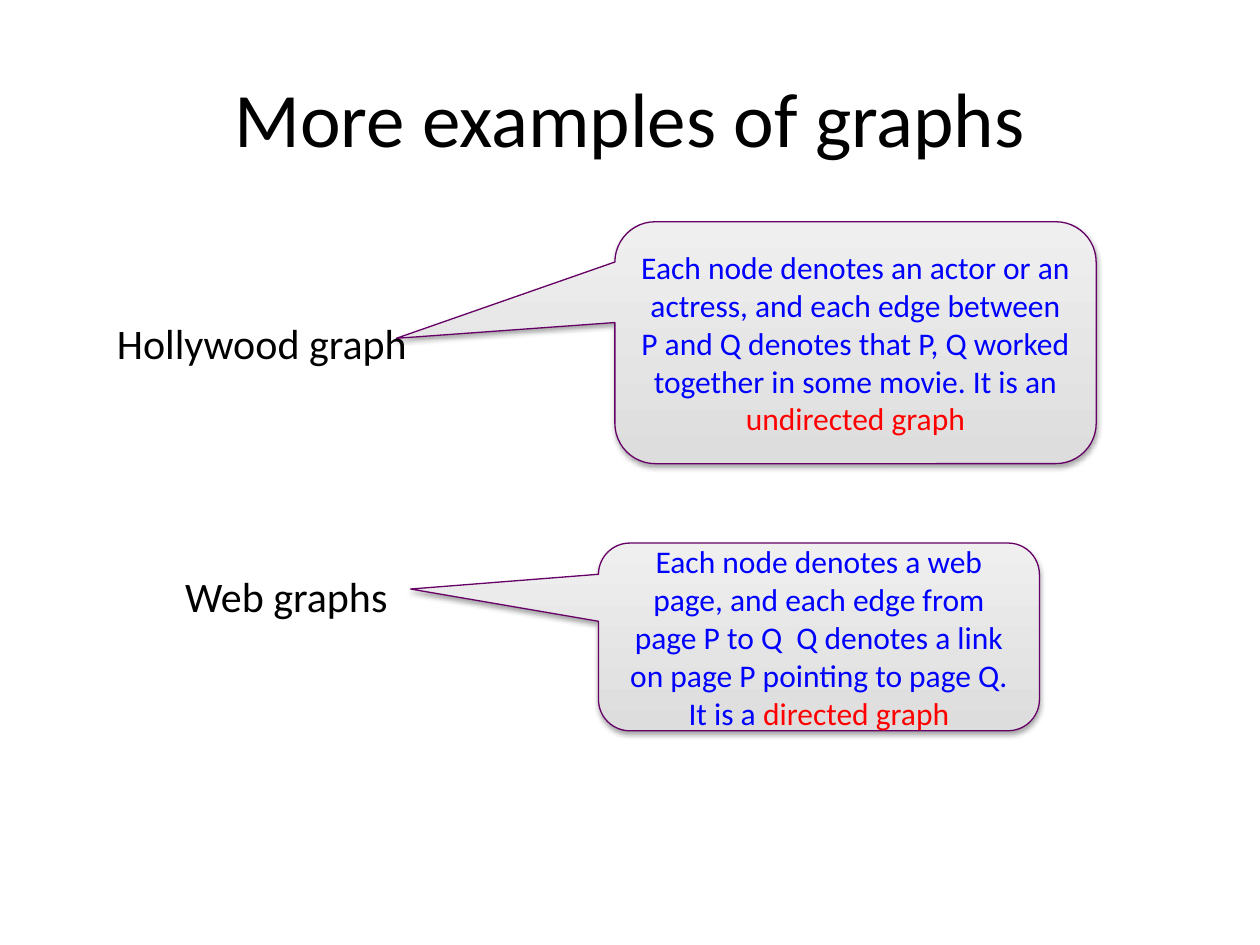
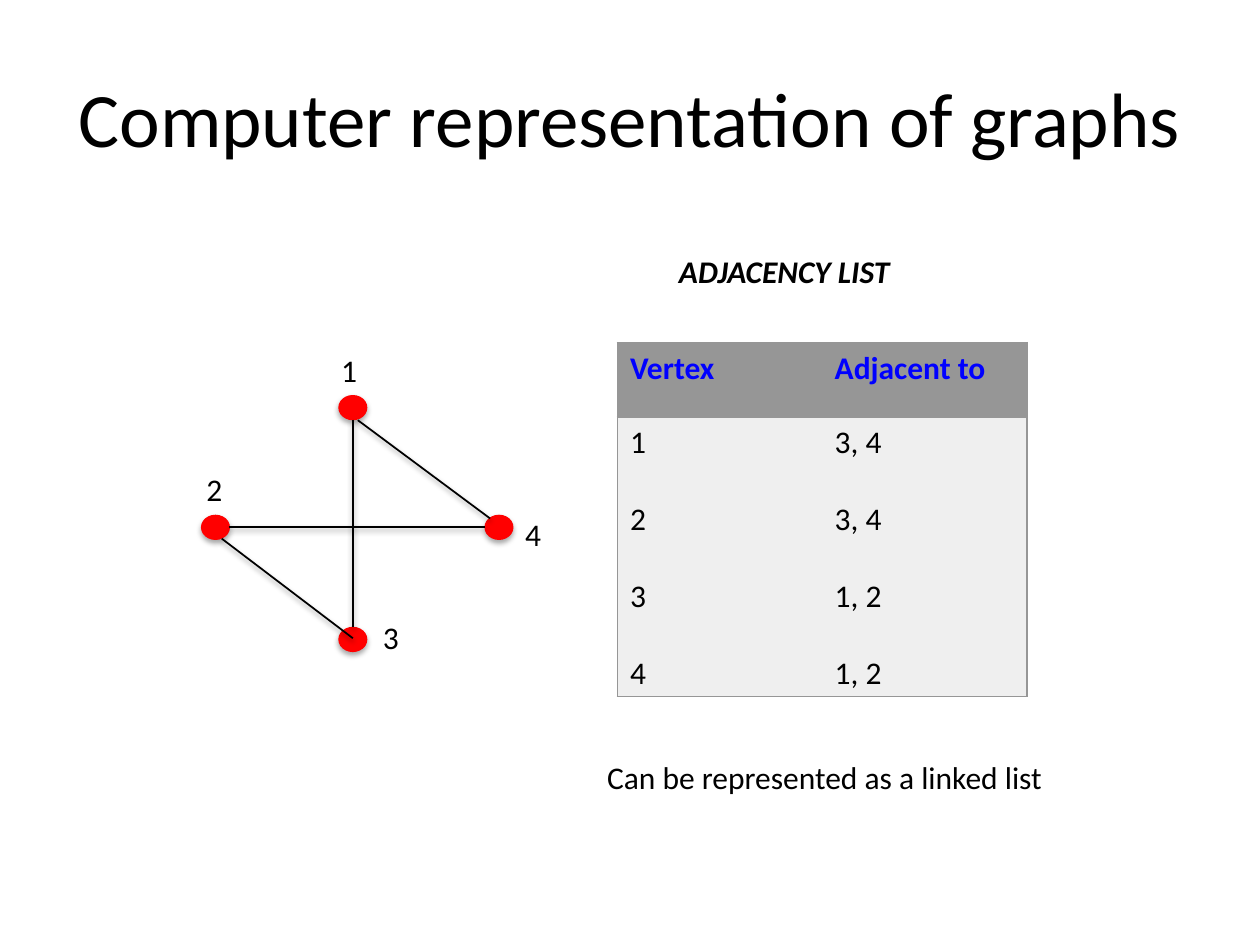
"""Build two slides on graph examples and adjacency lists."""
from dataclasses import dataclass

from lxml import etree
from pptx import Presentation
from pptx import util as u
from pptx.dml.color import RGBColor
from pptx.enum import shapes, text
from pptx.oxml import ns

COLORS = {
    "ink": "000000",
    "blue": "0000FF",
    "red": "FF0000",
    "purple": "660066",
    "pale": "EFEFEF",
    "silver": "DDDDDD",
    "grey": "969696",
}
FONT = "Calibri"
VERTEX_W, VERTEX_H = 0.22, 0.19
Point = tuple[float, float]
Box = tuple[float, float, float, float]
Runs = list[tuple[str, str]]


@dataclass
class Label:
    words: str
    box: Box
    size: int = 18
    emphasis: bool = False


@dataclass
class Callout:
    box: Box
    tip: Point
    paragraphs: list[Runs]


@dataclass
class Vertex:
    center: Point
    label_at: Point


@dataclass
class Edge:
    start: int
    start_offset: Point
    end: int
    end_offset: Point


SUBJECTS = [
    Label("Hollywood graph", (0.83, 2.47, 2.53, 0.5), 24),
    Label("Web graphs", (1.37, 4.48, 1.82, 0.5), 24),
]
CALLOUTS = [
    Callout((4.88, 1.76, 3.82, 1.92), (-0.954, -0.018), [[
        ("Each node denotes an actor or an actress, and each edge between P and Q "
         "denotes that P, Q worked together in some movie. It is an ", "blue"),
        ("undirected graph", "red")]]),
    Callout((4.75, 4.31, 3.5, 1.49), (-0.926, -0.255), [
        [("Each node denotes a web page, and each edge from page P to Q  Q denotes "
          "a link on page P pointing to page Q.", "blue")],
        [("It is a ", "blue"), ("directed graph", "red")]]),
]
VERTICES = {
    1: Vertex((2.8, 3.235), (2.61, 2.74)),
    2: Vertex((1.71, 4.185), (1.54, 3.68)),
    3: Vertex((2.8, 5.075), (2.94, 4.86)),
    4: Vertex((3.96, 4.185), (4.07, 4.04)),
}
EDGES = [
    Edge(1, (0, VERTEX_H / 2), 3, (0, -VERTEX_H / 2)),
    Edge(2, (VERTEX_W / 2, 0), 4, (-VERTEX_W / 2, 0)),
    Edge(1, (0.04, 0.1), 4, (-0.07, -0.07)),
    Edge(2, (0.05, 0.09), 3, (0, -0.01)),
]
NOTES = [
    Label("ADJACENCY LIST", (5.29, 1.95, 1.95, 0.4), emphasis=True),
    Label("Can be represented as a linked list", (4.72, 5.97, 3.69, 0.4)),
]
ADJACENCY = {
    "Vertex": ["1", "2", "3", "4"],
    "Adjacent to": ["3, 4", "3, 4", "1, 2", "1, 2"],
}


def rgb(name: str) -> RGBColor:
    return RGBColor.from_string(COLORS[name])


def inches(values) -> list[u.Length]:
    return [u.Inches(value) for value in values]


def write(frame, paragraphs: list[Runs], *, size: int = 18, bold: bool = False,
          italic: bool = False, align=text.PP_ALIGN.LEFT, gap: float = 0) -> None:
    for index, runs in enumerate(paragraphs):
        paragraph = frame.add_paragraph() if index else frame.paragraphs[0]
        paragraph.alignment = align
        paragraph.space_before = u.Pt(gap if index else 0)
        for words, color in runs:
            run = paragraph.add_run()
            run.text = words
            run.font.name = FONT
            run.font.size = u.Pt(size)
            run.font.bold = bold
            run.font.italic = italic
            run.font.color.rgb = rgb(color)


def add_shadow(item, opacity: int, distance: float) -> None:
    effects = etree.SubElement(item._element.spPr, ns.qn("a:effectLst"))
    shadow = etree.SubElement(
        effects, ns.qn("a:outerShdw"), blurRad=str(u.Pt(3.1)),
        dist=str(u.Pt(distance)), dir="5400000", rotWithShape="0")
    color = etree.SubElement(shadow, ns.qn("a:srgbClr"), val=COLORS["ink"])
    etree.SubElement(color, ns.qn("a:alpha"), val=str(opacity * 1000))


def outline(item, color: str, width: float) -> None:
    item.line.color.rgb = rgb(color)
    item.line.width = u.Pt(width)


def add_title_slide(deck, title: str):
    slide = deck.slides.add_slide(deck.slide_layouts[6])
    frame = slide.shapes.add_textbox(*inches((0.5, 0.3, 9, 1.25))).text_frame
    frame.word_wrap = True
    frame.vertical_anchor = text.MSO_ANCHOR.MIDDLE
    write(frame, [[(title, "ink")]], size=44, align=text.PP_ALIGN.CENTER)
    return slide


def add_label(slide, label: Label) -> None:
    frame = slide.shapes.add_textbox(*inches(label.box)).text_frame
    frame.word_wrap = False
    write(frame, [[(label.words, "ink")]], size=label.size,
          bold=label.emphasis, italic=label.emphasis)


def add_callout(slide, callout: Callout) -> None:
    bubble = slide.shapes.add_shape(
        shapes.MSO_SHAPE.ROUNDED_RECTANGULAR_CALLOUT, *inches(callout.box))
    for index, value in enumerate((*callout.tip, 0.167)):
        bubble.adjustments[index] = value
    bubble.fill.gradient()
    bubble.fill.gradient_angle = 90
    for stop, color in zip(bubble.fill.gradient_stops, ("silver", "pale")):
        stop.color.rgb = rgb(color)
    outline(bubble, "purple", 0.75)
    add_shadow(bubble, 35, 1.8)
    bubble.text_frame.word_wrap = True
    bubble.text_frame.vertical_anchor = text.MSO_ANCHOR.MIDDLE
    write(bubble.text_frame, callout.paragraphs, align=text.PP_ALIGN.CENTER)


def add_vertex(slide, number: int, vertex: Vertex) -> None:
    x, y = vertex.center
    dot = slide.shapes.add_shape(shapes.MSO_SHAPE.OVAL, *inches(
        (x - VERTEX_W / 2, y - VERTEX_H / 2, VERTEX_W, VERTEX_H)))
    dot.fill.solid()
    dot.fill.fore_color.rgb = rgb("red")
    outline(dot, "red", 0.75)
    add_shadow(dot, 35, 1.8)
    add_label(slide, Label(str(number), (*vertex.label_at, 0.33, 0.4)))


def add_edge(slide, edge: Edge) -> None:
    ends = []
    for number, offset in ((edge.start, edge.start_offset), (edge.end, edge.end_offset)):
        ends += [a + b for a, b in zip(VERTICES[number].center, offset)]
    line = slide.shapes.add_connector(shapes.MSO_CONNECTOR.STRAIGHT, *inches(ends))
    outline(line, "ink", 1)
    add_shadow(line, 38, 1.6)


def set_borders(cell, inner_side: str) -> None:
    properties = cell._tc.get_or_add_tcPr()
    for side in ("lnL", "lnR", "lnT", "lnB"):
        border = etree.SubElement(properties, ns.qn(f"a:{side}"), w=str(u.Pt(1)))
        if side == inner_side:
            etree.SubElement(border, ns.qn("a:noFill"))
        else:
            fill = etree.SubElement(border, ns.qn("a:solidFill"))
            etree.SubElement(fill, ns.qn("a:srgbClr"), val=COLORS["grey"])


def add_adjacency_table(slide) -> None:
    table = slide.shapes.add_table(
        2, len(ADJACENCY), *inches((4.9, 2.72, 3.25, 2.79))).table
    for row, height in zip(table.rows, (0.59, 2.2)):
        row.height = u.Inches(height)
    for column, (heading, entries) in enumerate(ADJACENCY.items()):
        head, body = table.cell(0, column), table.cell(1, column)
        for cell, color in ((head, "grey"), (body, "pale")):
            set_borders(cell, "lnL" if column else "lnR")
            cell.fill.solid()
            cell.fill.fore_color.rgb = rgb(color)
        write(head.text_frame, [[(heading, "blue")]], bold=True)
        write(body.text_frame, [[(entry, "ink")] for entry in entries], gap=22)


def main() -> None:
    deck = Presentation()
    deck.slide_width, deck.slide_height = inches((10, 7.5))

    examples = add_title_slide(deck, "More examples of graphs")
    for callout in CALLOUTS:
        add_callout(examples, callout)
    for subject in SUBJECTS:
        add_label(examples, subject)

    representation = add_title_slide(deck, "Computer representation of graphs")
    for number, vertex in VERTICES.items():
        add_vertex(representation, number, vertex)
    for edge in EDGES:
        add_edge(representation, edge)
    add_adjacency_table(representation)
    for note in NOTES:
        add_label(representation, note)

    deck.save("out.pptx")


if __name__ == "__main__":
    main()
